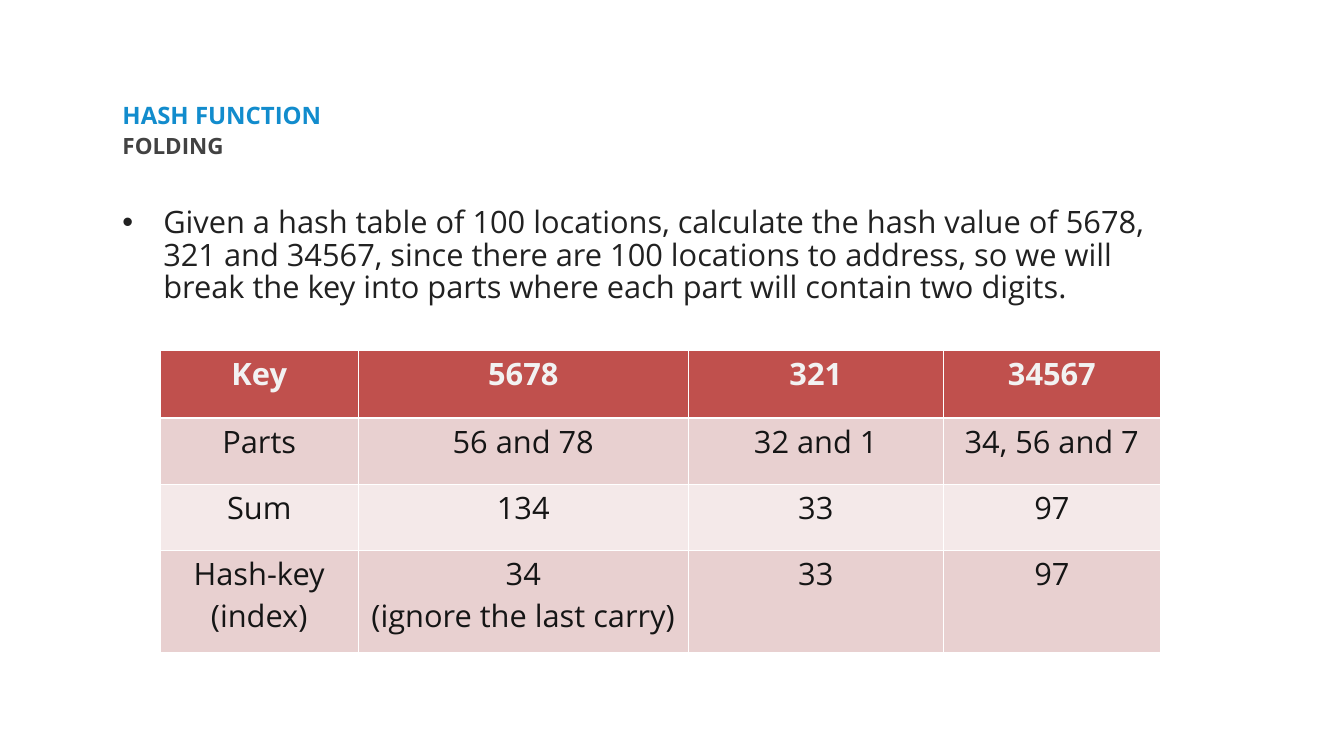
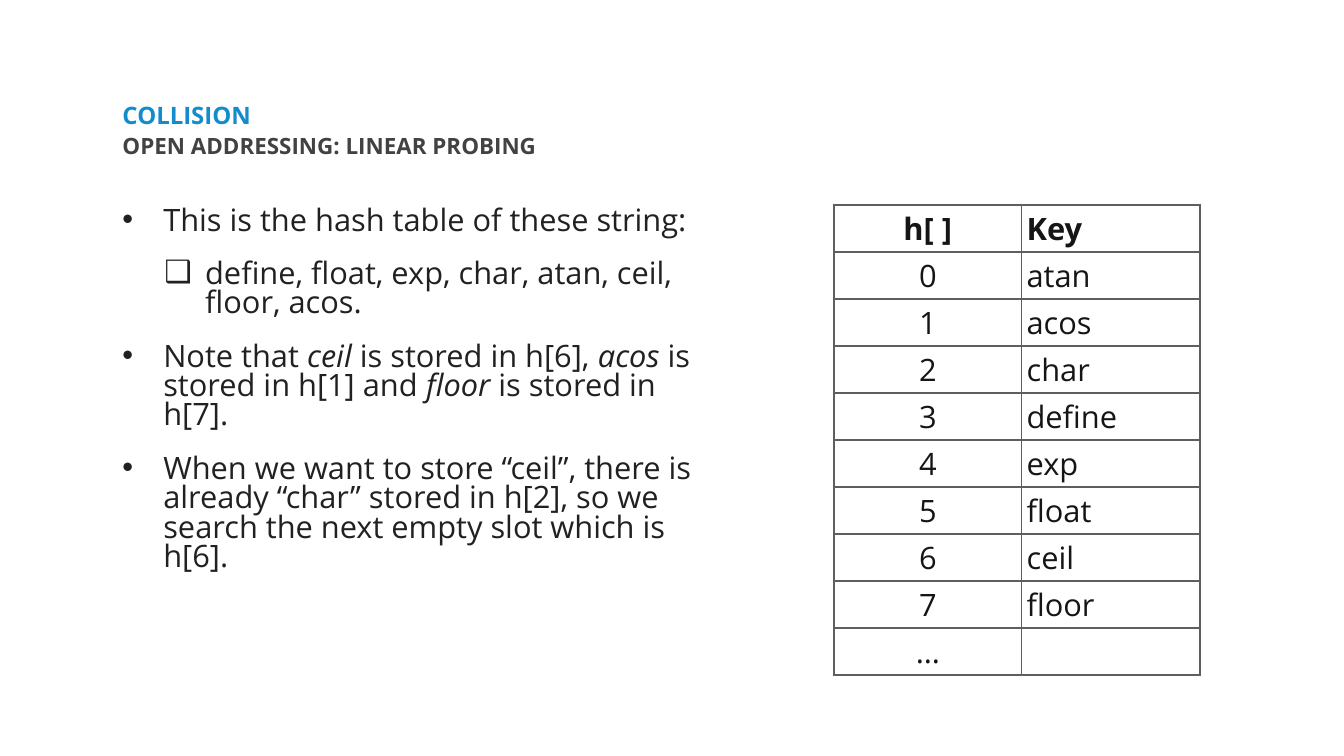
from dataclasses import dataclass

from lxml import etree
from pptx import Presentation
from pptx.dml.color import RGBColor
from pptx.enum.text import MSO_ANCHOR, MSO_AUTO_SIZE, PP_ALIGN
from pptx.oxml.ns import qn
from pptx.util import Inches, Pt

LEFT, CENTER = PP_ALIGN.LEFT, PP_ALIGN.CENTER
TOP, MIDDLE = MSO_ANCHOR.TOP, MSO_ANCHOR.MIDDLE
NO_FIT = MSO_AUTO_SIZE.NONE
TWO_CONTENT = 3  # layout with a title and two text placeholders


@dataclass(frozen=True)
class Theme:
    font: str = "Open Sans"
    title_size: float = 34.2
    subtitle_size: float = 32
    text_size: float = 44
    title: str = "128CCD"
    subtitle: str = "424242"
    text: str = "212121"
    cell_text: str = "151515"
    head_text: str = "F2F2F2"
    head_fill: str = "C0504D"
    bands: tuple = ("E8D0D0", "F4E9E9")
    light_line: str = "FFFFFF"
    dark_line: str = "5E5E5E"


THEME = Theme()

# The slide is a grid of 100 columns by 100 rows
WIDTH, HEIGHT = Inches(26.67), Inches(15)
MARGIN, BODY_TOP, BODY_ROWS = 8.89, 27.07, 59.27
HANGING = Inches(0.81)
BULLETS = (("•", HANGING), ("❑", Inches(1.64)))


def col(n):
    return int(WIDTH * n / 100)


def row(n):
    return int(HEIGHT * n / 100)


def set_all(target, values):
    for name, value in values.items():
        setattr(target, name, value)


def add_runs(p, text, size, color, bold=False):
    """Write text into a paragraph; parts between asterisks are italic."""
    for i, part in enumerate(text.split("*")):
        if part:
            r = p.add_run()
            r.text = part
            set_all(r.font, {"name": THEME.font, "size": Pt(size),
                             "bold": bold, "italic": i % 2 == 1})
            r.font.color.rgb = RGBColor.from_string(color)


def place(sp, x, y, w, h, anchor=TOP):
    set_all(sp, {"left": col(x), "top": row(y),
                 "width": col(w), "height": row(h)})
    tf = sp.text_frame
    inset = Inches(0.06)
    set_all(tf, {"margin_left": inset, "margin_right": inset,
                 "margin_top": inset, "margin_bottom": inset,
                 "word_wrap": True, "auto_size": NO_FIT,
                 "vertical_anchor": anchor})
    return tf


def set_bullet(p, char, indent):
    pPr = p._p.get_or_add_pPr()
    if char:
        pPr.set("marL", str(indent))
        pPr.set("indent", str(-HANGING))
        etree.SubElement(pPr, qn("a:buChar")).set("char", char)
    else:
        pPr.set("marL", "0")
        pPr.set("indent", "0")
        etree.SubElement(pPr, qn("a:buNone"))


def add_heading(s, title, subtitle):
    tf = place(s.shapes.title, MARGIN, 13.67, 60.33, 3.73, MIDDLE)
    p = tf.paragraphs[0]
    set_all(p, {"alignment": LEFT, "line_spacing": 0.8})
    add_runs(p, title, THEME.title_size, THEME.title, True)

    tf = place(s.placeholders[1], MARGIN, 17.67, 40.04, 5.87)
    p = tf.paragraphs[0]
    set_bullet(p, None, 0)
    set_all(p, {"line_spacing": 0.82, "space_before": Pt(0)})
    add_runs(p, subtitle, THEME.subtitle_size, THEME.subtitle, True)


def add_list(s, columns, items, spacing):
    """Fill the body with (level, text) items."""
    tf = place(s.placeholders[2], MARGIN, BODY_TOP, columns, BODY_ROWS)
    for i, (level, text) in enumerate(items):
        p = tf.add_paragraph() if i else tf.paragraphs[0]
        set_bullet(p, *BULLETS[level])
        set_all(p, {"level": level, "line_spacing": spacing,
                    "space_before": Pt(35 if i else 0)})
        add_runs(p, text, THEME.text_size, THEME.text)


def set_border(cell, side, color, width):
    ln = etree.SubElement(cell._tc.get_or_add_tcPr(), qn(f"a:ln{side}"))
    ln.set("w", str(Pt(width)))
    fill = etree.SubElement(ln, qn("a:solidFill"))
    etree.SubElement(fill, qn("a:srgbClr")).set("val", color)


def add_table(s, x, y, widths, heights, rows, style):
    """Draw rows of text; style(i) gives the look of row i."""
    frame = s.shapes.add_table(len(rows), len(widths), col(x), row(y),
                               col(sum(widths)), row(sum(heights)))
    table = frame.table
    set_all(table, {"first_row": False, "horz_banding": False})
    for column, width in zip(table.columns, widths):
        column.width = col(width)
    for i, texts in enumerate(rows):
        table.rows[i].height = row(heights[i])
        look = style(i)
        for j, text in enumerate(texts):
            cell = table.cell(i, j)
            for side in "LRTB":
                width = look["edges"].get(side, look["line_width"])
                set_border(cell, side, look["line"], width)
            if look["fill"]:
                cell.fill.solid()
                cell.fill.fore_color.rgb = RGBColor.from_string(look["fill"])
            else:
                cell.fill.background()
            tf = cell.text_frame
            for k, line in enumerate(text.split("\n")):
                p = tf.add_paragraph() if k else tf.paragraphs[0]
                p.alignment = look["align"][j]
                add_runs(p, line, THEME.text_size, look["color"], i == 0)


def banded(i):
    """Red header over pink bands, with a thick rule under the header."""
    return {"fill": THEME.bands[(i - 1) % 2] if i else THEME.head_fill,
            "color": THEME.cell_text if i else THEME.head_text,
            "line": THEME.light_line, "line_width": 1,
            "edges": {0: {"B": 3}, 1: {"T": 3}}.get(i, {}),
            "align": [CENTER] * 4}


def ruled(i):
    """Plain cells in a dark grid."""
    return {"fill": None, "color": THEME.cell_text, "line": THEME.dark_line,
            "line_width": 3, "edges": {}, "align": [CENTER, LEFT]}


def add_slide(prs, title, subtitle):
    s = prs.slides.add_slide(prs.slide_layouts[TWO_CONTENT])
    add_heading(s, title, subtitle)
    return s


def folding_slide(prs):
    s = add_slide(prs, "HASH FUNCTION", "FOLDING")
    add_list(s, 79.19, [
        (0, "Given a hash table of 100 locations, calculate the hash value of "
            "5678, 321 and 34567, since there are 100 locations to address, "
            "so we will break the key into parts where each part will contain "
            "two digits."),
    ], 0.88)
    rows = [
        ("Key", "5678", "321", "34567"),
        ("Parts", "56 and 78", "32 and 1", "34, 56 and 7"),
        ("Sum", "134", "33", "97"),
        ("Hash-key (index)", "34\n(ignore the last carry)", "33", "97"),
    ]
    add_table(s, 11.92, 46.27, (14.74, 24.56, 18.97, 16.16),
              (9.07, 8.73, 8.73, 13.53), rows, banded)


def probing_slide(prs):
    s = add_slide(prs, "COLLISION", "OPEN ADDRESSING: LINEAR PROBING")
    add_list(s, 43.27, [
        (0, "This is the hash table of these string:"),
        (1, "define, float, exp, char, atan, ceil, floor, acos."),
        (0, "Note that *ceil* is stored in h[6], *acos* is stored in h[1] "
            "and *floor* is stored in h[7]."),
        (0, "When we want to store “ceil”, there is already “char” stored in "
            "h[2], so we search the next empty slot which is h[6]."),
    ], 0.79)
    keys = ("atan", "acos", "char", "define", "exp", "float", "ceil", "floor")
    slots = [(str(i), key) for i, key in enumerate(keys)]
    rows = [("h[ ]", "Key"), *slots, ("…", "")]
    add_table(s, 62.06, BODY_TOP, (13.95, 13.27), [5.8] * len(rows),
              rows, ruled)


def main():
    prs = Presentation()
    set_all(prs, {"slide_width": WIDTH, "slide_height": HEIGHT})
    folding_slide(prs)
    probing_slide(prs)
    prs.save("out.pptx")


if __name__ == "__main__":
    main()
